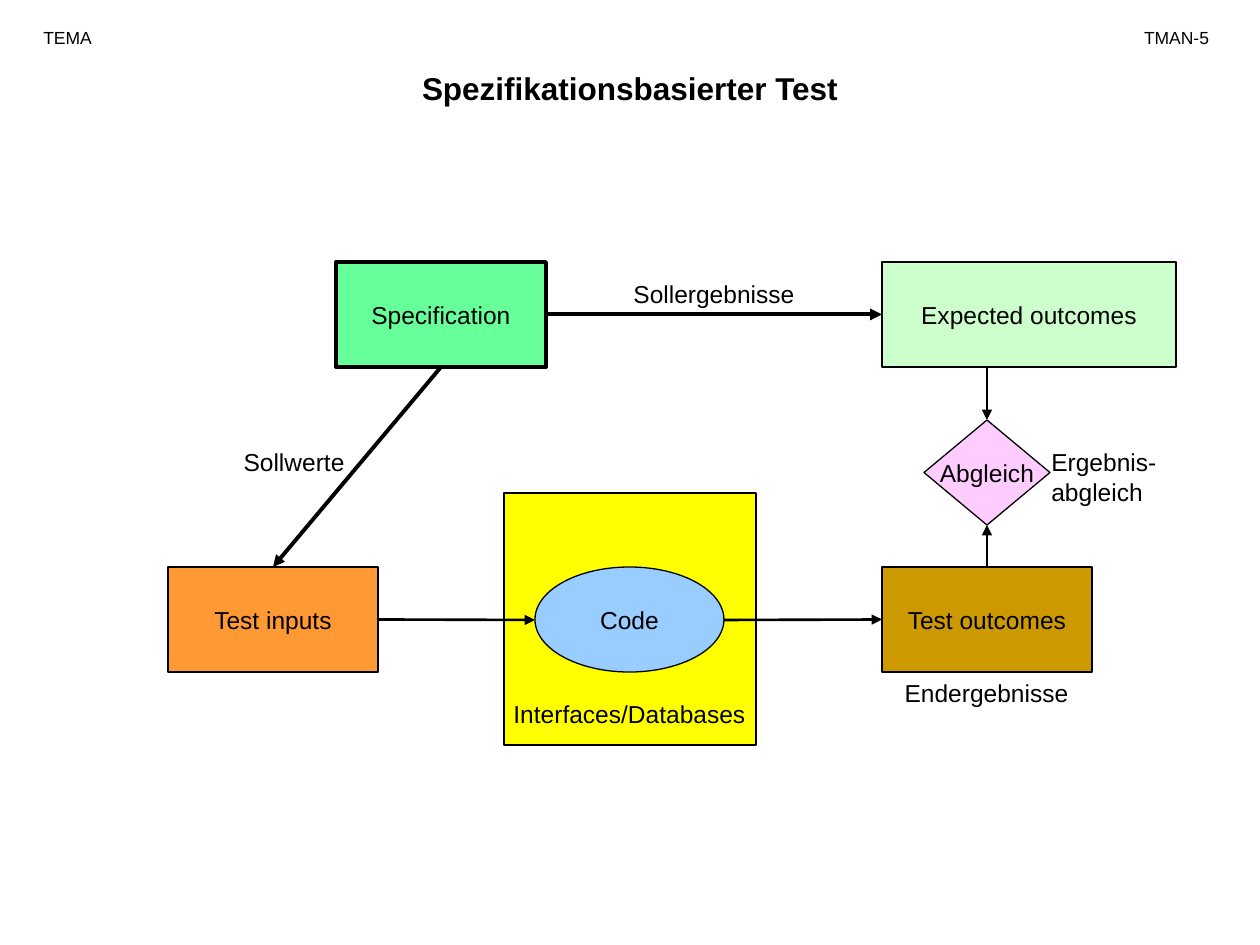
from dataclasses import dataclass

from lxml import etree
from pptx import Presentation
from pptx.dml.color import RGBColor
from pptx.enum.shapes import MSO_CONNECTOR, MSO_SHAPE
from pptx.enum.text import MSO_ANCHOR, MSO_AUTO_SIZE, PP_ALIGN
from pptx.oxml.ns import qn
from pptx.shapes.autoshape import Shape
from pptx.shapes.connector import Connector
from pptx.slide import Slide
from pptx.text.text import TextFrame
from pptx.util import Emu, Pt

RECTANGLE, ELLIPSE, DIAMOND = MSO_SHAPE.RECTANGLE, MSO_SHAPE.OVAL, MSO_SHAPE.DIAMOND
LEFT, CENTER, RIGHT = PP_ALIGN.LEFT, PP_ALIGN.CENTER, PP_ALIGN.RIGHT
TOP_ANCHOR, MIDDLE_ANCHOR = MSO_ANCHOR.TOP, MSO_ANCHOR.MIDDLE
GROW, FIXED = MSO_AUTO_SIZE.SHAPE_TO_FIT_TEXT, MSO_AUTO_SIZE.NONE
STRAIGHT = MSO_CONNECTOR.STRAIGHT
TOP, LEFT_SIDE, BOTTOM, RIGHT_SIDE = range(4)
TITLE_ONLY = 5
PX_PER_INCH = 126


@dataclass(frozen=True)
class Theme:
    font: str = "Arial"
    ink: str = "000000"
    interfaces: str = "FFFF00"
    code: str = "99CCFF"
    inputs: str = "FF9933"
    outcomes: str = "CC9900"
    specification: str = "66FF99"
    expected: str = "CCFFCC"
    comparison: str = "FFCCFF"
    title_size: int = 18
    body_size: int = 14
    header_size: int = 10
    thin: float = 0.75
    medium: float = 1.5
    thick: float = 2.25


THEME = Theme()


@dataclass(frozen=True)
class Box:
    left: int
    top: int
    width: int
    height: int


@dataclass(frozen=True)
class Node:
    name: str
    text: str
    box: Box
    fill: str
    kind: MSO_SHAPE = RECTANGLE
    line_width: float = THEME.thin


@dataclass(frozen=True)
class Label:
    text: str
    box: Box
    align: PP_ALIGN = CENTER
    size: int = THEME.body_size


@dataclass(frozen=True)
class End:
    x: int
    y: int
    node: str = ""
    site: int = TOP


@dataclass(frozen=True)
class Arrow:
    start: End
    end: End
    width: float = THEME.medium


TITLE = Label("Spezifikationsbasierter Test", Box(168, 63, 924, 50), size=THEME.title_size)

NODES = [
    Node("interfaces", "", Box(504, 493, 252, 252), THEME.interfaces),
    Node("code", "Code", Box(535, 567, 189, 105), THEME.code, ELLIPSE),
    Node("inputs", "Test inputs", Box(168, 567, 210, 105), THEME.inputs),
    Node("outcomes", "Test outcomes", Box(882, 567, 210, 105), THEME.outcomes),
    Node("specification", "Specification", Box(336, 262, 210, 105),
         THEME.specification, line_width=THEME.thick),
    Node("expected", "Expected outcomes", Box(882, 262, 294, 105), THEME.expected),
    Node("comparison", "Abgleich", Box(924, 420, 126, 105), THEME.comparison, DIAMOND),
]

LABELS = [
    Label("TEMA", Box(31, 21, 116, 34), LEFT, THEME.header_size),
    Label("TMAN-5", Box(1124, 21, 105, 34), CENTER, THEME.header_size),
    Label("Ergebnis-\nabgleich", Box(1039, 441, 189, 72), LEFT),
    Label("Endergebnisse", Box(850, 672, 273, 43)),
    Label("Sollergebnisse", Box(546, 273, 336, 43)),
    Label("Sollwerte", Box(220, 441, 137, 43), RIGHT),
    Label("Interfaces/Databases", Box(493, 693, 273, 43)),
]

ARROWS = [
    Arrow(End(378, 620, "inputs", RIGHT_SIDE), End(535, 620)),
    Arrow(End(724, 620), End(882, 620, "outcomes", LEFT_SIDE)),
    Arrow(End(546, 315, "specification", RIGHT_SIDE),
          End(882, 315, "expected", LEFT_SIDE), THEME.thick),
    Arrow(End(441, 367, "specification", BOTTOM),
          End(273, 567, "inputs", TOP), THEME.thick),
    Arrow(End(987, 567, "outcomes", TOP), End(987, 525, "comparison", BOTTOM)),
    Arrow(End(987, 367), End(987, 420, "comparison", TOP)),
]


def px(length: int) -> Emu:
    return Emu(round(length * 914400 / PX_PER_INCH))


def place(box: Box) -> tuple[Emu, Emu, Emu, Emu]:
    return px(box.left), px(box.top), px(box.width), px(box.height)


def color(value: str) -> RGBColor:
    return RGBColor.from_string(value)


def write(frame: TextFrame, text: str, size: int, align: PP_ALIGN, bold: bool = False) -> None:
    paragraph = frame.paragraphs[0]
    paragraph.alignment = align
    paragraph.space_before = Pt(0)
    for index, line in enumerate(text.split("\n")):
        if index:
            paragraph.add_line_break()
        run = paragraph.add_run()
        run.text = line
        run.font.name = THEME.font
        run.font.size = Pt(size)
        run.font.bold = bold
        run.font.color.rgb = color(THEME.ink)


def format_title(slide: Slide, label: Label) -> None:
    title = slide.shapes.title
    title.left, title.top, title.width, title.height = place(label.box)
    frame = title.text_frame
    frame.word_wrap = True
    frame.auto_size = FIXED
    frame.vertical_anchor = TOP_ANCHOR
    write(frame, label.text, label.size, label.align, bold=True)


def draw_node(slide: Slide, node: Node) -> Shape:
    shape = slide.shapes.add_shape(node.kind, *place(node.box))
    shape.shadow.inherit = False
    shape.fill.solid()
    shape.fill.fore_color.rgb = color(node.fill)
    shape.line.color.rgb = color(THEME.ink)
    shape.line.width = Pt(node.line_width)
    if node.text:
        frame = shape.text_frame
        frame.word_wrap = False
        frame.vertical_anchor = MIDDLE_ANCHOR
        write(frame, node.text, THEME.body_size, CENTER)
    return shape


def draw_label(slide: Slide, label: Label) -> None:
    frame = slide.shapes.add_textbox(*place(label.box)).text_frame
    frame.word_wrap = True
    frame.auto_size = GROW
    write(frame, label.text, label.size, label.align)


def draw_arrow(slide: Slide, arrow: Arrow, shapes: dict[str, Shape]) -> Connector:
    start, end = arrow.start, arrow.end
    connector = slide.shapes.add_connector(
        STRAIGHT, px(start.x), px(start.y), px(end.x), px(end.y))
    if start.node:
        connector.begin_connect(shapes[start.node], start.site)
    if end.node:
        connector.end_connect(shapes[end.node], end.site)
    connector.line.color.rgb = color(THEME.ink)
    connector.line.width = Pt(arrow.width)
    properties = connector._element.spPr
    etree.SubElement(properties.find(qn("a:ln")), qn("a:tailEnd"), type="triangle")
    etree.SubElement(properties, qn("a:effectLst"))
    return connector


def main() -> None:
    presentation = Presentation()
    presentation.slide_width, presentation.slide_height = px(1260), px(945)
    slide = presentation.slides.add_slide(presentation.slide_layouts[TITLE_ONLY])
    format_title(slide, TITLE)
    shapes = {node.name: draw_node(slide, node) for node in NODES}
    for arrow in ARROWS:
        draw_arrow(slide, arrow, shapes)
    for label in LABELS:
        draw_label(slide, label)
    presentation.save("out.pptx")


if __name__ == "__main__":
    main()
